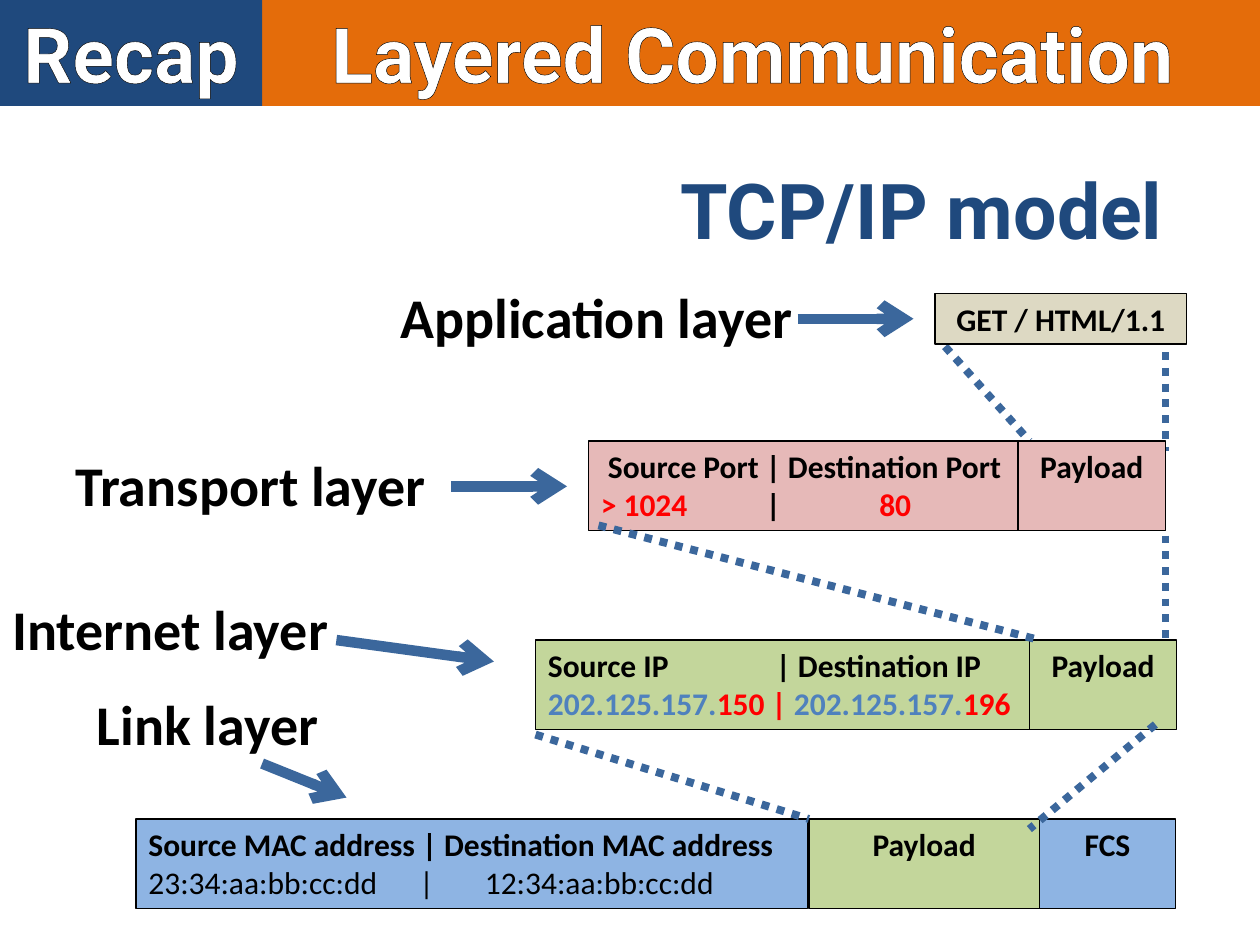
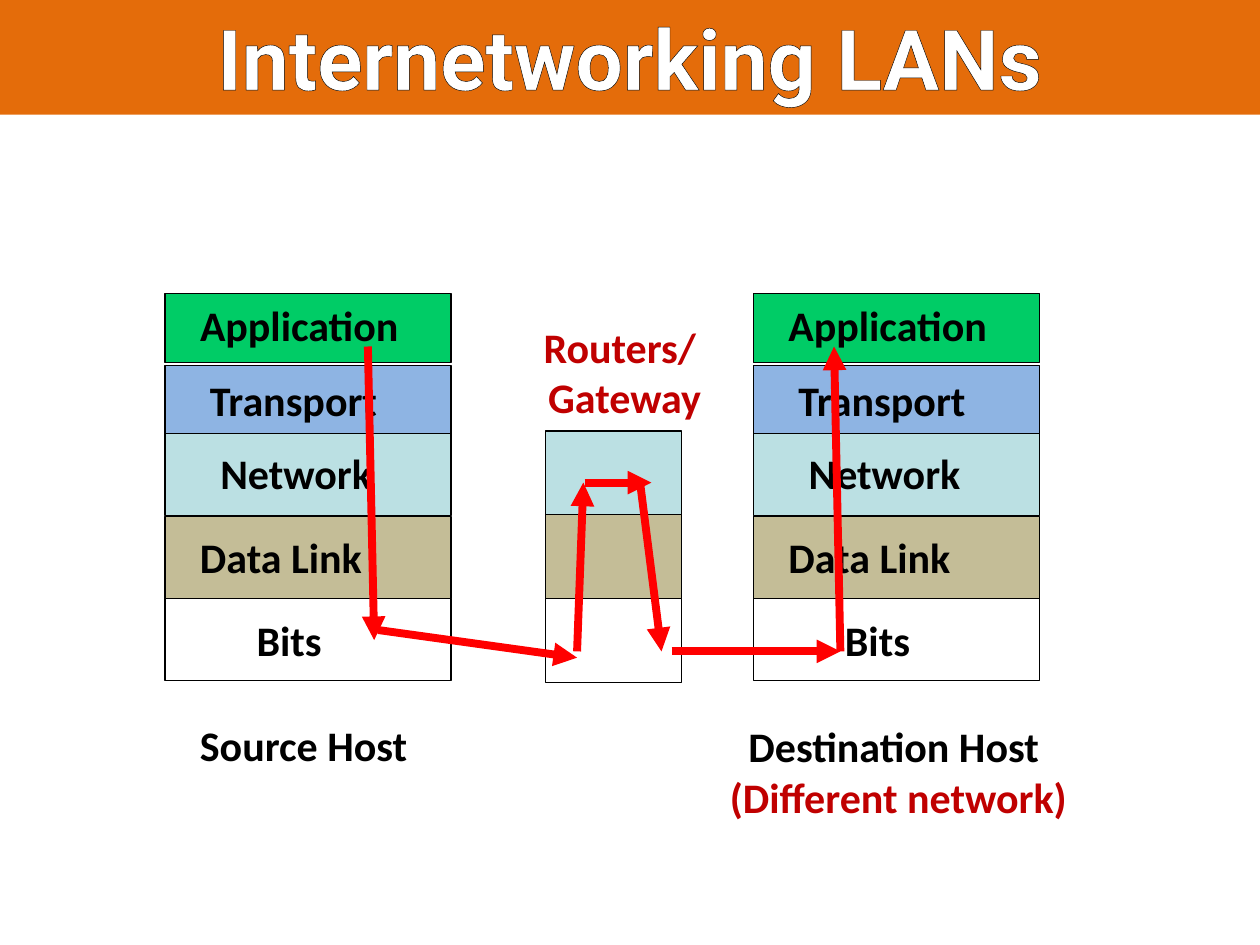
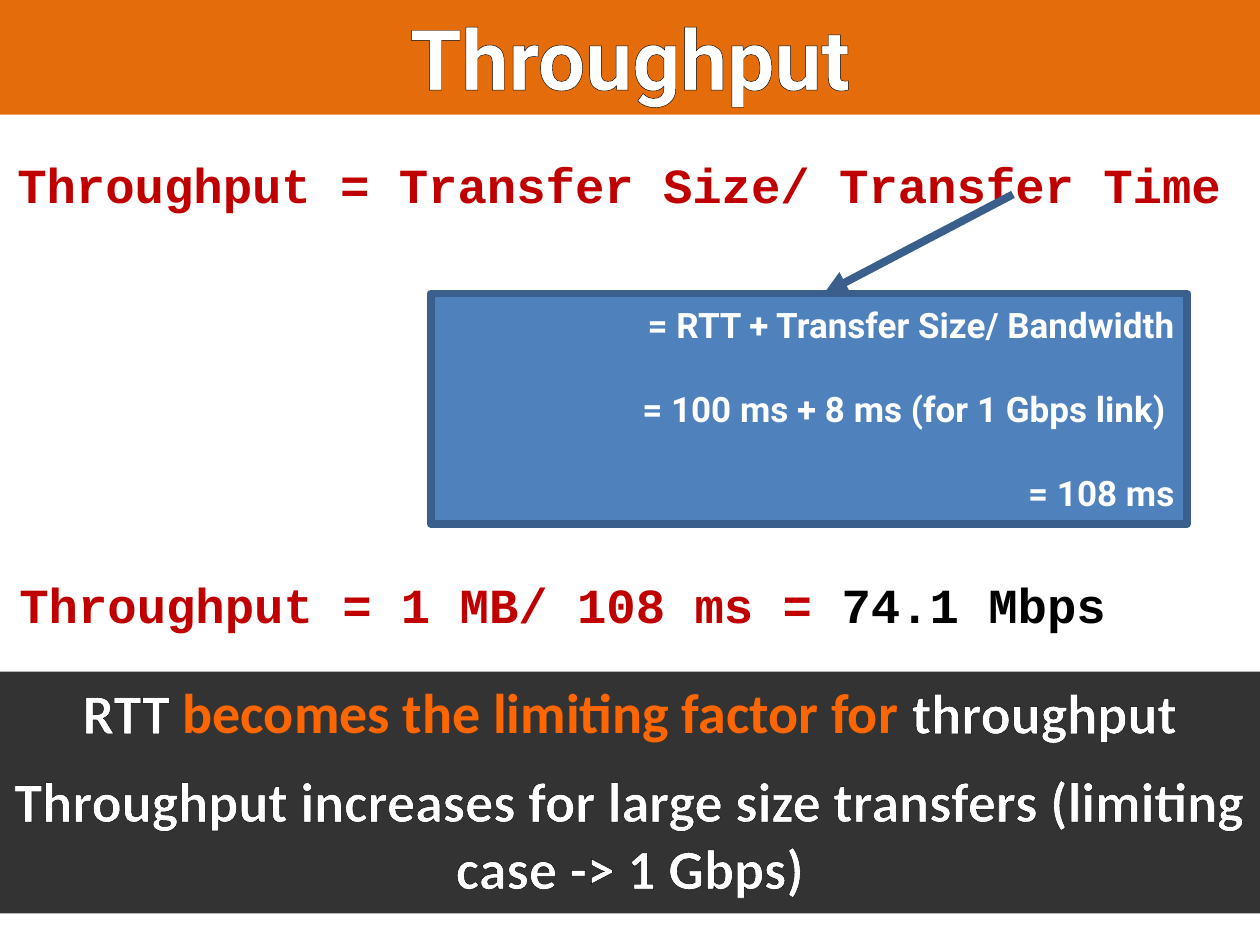
from dataclasses import dataclass
from typing import NamedTuple, Optional

from lxml import etree
from pptx import Presentation
from pptx.dml.color import RGBColor
from pptx.enum.dml import MSO_LINE
from pptx.enum.shapes import MSO_CONNECTOR, MSO_SHAPE
from pptx.enum.text import MSO_ANCHOR, PP_ALIGN
from pptx.oxml import parse_xml
from pptx.oxml.ns import nsdecls, qn
from pptx.util import Inches, Pt

COLORS = {
    "black": "000000", "white": "FFFFFF", "red": "FF0000", "crimson": "C00000",
    "orange": "E46C0A", "bright": "FF6600", "navy": "1F497D", "steel": "3B679C",
    "blue": "4F81BD", "edge": "3A5F8C", "sand": "DDD9C3", "rose": "E6B9B8",
    "leaf": "C3D69B", "sky": "8EB4E3", "aqua": "BBE0E3", "khaki": "C4BD97",
    "green": "00CC66",
}
LEFT, CENTER, RIGHT = PP_ALIGN.LEFT, PP_ALIGN.CENTER, PP_ALIGN.RIGHT


class Area(NamedTuple):
    left: float
    top: float
    width: float
    height: float


class Span(NamedTuple):
    text: str
    color: Optional[str] = None


@dataclass
class Para:
    spans: list[Span]
    bold: bool = True
    tabs: tuple[float, ...] = ()


@dataclass
class Style:
    size: int
    font: str = "Calibri"
    color: str = "black"
    align: PP_ALIGN = CENTER
    gap: int = 0
    outline: bool = False
    shadow: bool = False


class Line(NamedTuple):
    start: tuple[float, float]
    end: tuple[float, float]


class Field(NamedTuple):
    area: Area
    fill: str
    paras: list[Para]
    align: PP_ALIGN = CENTER


class Label(NamedTuple):
    text: str
    area: Area
    arrow: Line


class Layer(NamedTuple):
    name: str
    fill: str
    top: float
    height: float
    label: Area


def rgb(name: str) -> RGBColor:
    return RGBColor.from_string(COLORS[name])


def plain(text: str) -> Para:
    return Para([Span(text)])


def write(shape, paras: list[Para], style: Style, wrap: bool = True) -> None:
    frame = shape.text_frame
    frame.word_wrap = wrap
    frame.vertical_anchor = MSO_ANCHOR.TOP
    for index, item in enumerate(paras):
        para = frame.add_paragraph() if index else frame.paragraphs[0]
        para.alignment = style.align
        if index and style.gap:
            para.space_before = Pt(style.gap)
        if item.tabs:
            stops = etree.SubElement(para._p.get_or_add_pPr(), qn("a:tabLst"))
            for position in item.tabs:
                etree.SubElement(stops, qn("a:tab"), pos=str(Inches(position)), algn="l")
        para.font.size = Pt(style.size)
        para.font.name = style.font
        para.font.bold = item.bold
        para.font.color.rgb = rgb(style.color)
        for span in item.spans:
            run = para.add_run()
            run.text = span.text
            if span.color:
                run.font.color.rgb = rgb(span.color)
            add_effects(run, style)


def add_effects(run, style: Style) -> None:
    if style.outline:
        run._r.get_or_add_rPr().insert(0, parse_xml(
            f'<a:ln {nsdecls("a")} w="9525"><a:solidFill>'
            f'<a:srgbClr val="{COLORS["black"]}"/></a:solidFill></a:ln>'))
    if style.shadow:
        run._r.get_or_add_rPr().append(parse_xml(
            f'<a:effectLst {nsdecls("a")}><a:outerShdw blurRad="38100" dist="38100" '
            f'dir="2700000"><a:srgbClr val="{COLORS["black"]}">'
            '<a:alpha val="43000"/></a:srgbClr></a:outerShdw></a:effectLst>'))


def add_box(page, area: Area, fill: str, line: Optional[str] = "black",
            weight: float = 0.75, kind: MSO_SHAPE = MSO_SHAPE.RECTANGLE):
    box = page.shapes.add_shape(kind, *map(Inches, area))
    box.shadow.inherit = False
    box.fill.solid()
    box.fill.fore_color.rgb = rgb(fill)
    if line:
        box.line.color.rgb = rgb(line)
        box.line.width = Pt(weight)
    else:
        box.line.fill.background()
    return box


def add_text(page, area: Area, paras: list[Para], style: Style, wrap: bool = False) -> None:
    write(page.shapes.add_textbox(*map(Inches, area)), paras, style, wrap)


def add_line(page, line: Line, color: str, weight: float, tail: str = "") -> None:
    link = page.shapes.add_connector(
        MSO_CONNECTOR.STRAIGHT, *map(Inches, line.start + line.end))
    link.line.color.rgb = rgb(color)
    link.line.width = Pt(weight)
    etree.SubElement(link._element.spPr, qn("a:effectLst"))
    if tail:
        etree.SubElement(link.line._get_or_add_ln(), qn("a:tailEnd"), type=tail)
    else:
        link.line.dash_style = MSO_LINE.ROUND_DOT


def add_band(page, text: str, size: int = 48, height: float = 0.91,
             width: float = 10, fill: str = "orange", inset: float = 0.1) -> None:
    band = add_box(page, Area(0, 0, width, height), fill, None)
    band.text_frame.margin_left = Inches(inset)
    write(band, [plain(text)], Style(size, "Roboto", "white", outline=True))


FIELD_HEIGHT = 0.71
FIELDS = [
    Field(Area(7.42, 2.33, 2, 0.4), "sand", [plain("GET / HTML/1.1")]),
    Field(Area(1.08, 6.5, 5.33, FIELD_HEIGHT), "sky", [
        plain("Source MAC address | Destination MAC address"),
        Para([Span("23:34:aa:bb:cc:dd\t|\t12:34:aa:bb:cc:dd")], False, (2.15, 2.67)),
    ], LEFT),
    Field(Area(8.25, 6.5, 1.08, FIELD_HEIGHT), "sky", [plain("FCS")]),
    Field(Area(6.42, 6.5, 1.83, FIELD_HEIGHT), "leaf", [plain("Payload")]),
    Field(Area(4.67, 3.5, 3.42, FIELD_HEIGHT), "rose", [
        plain(" Source Port | Destination Port"),
        Para([Span("> 1024\t", "red"), Span("|\t"), Span("80", "red")], tabs=(1.31, 2.21)),
    ], LEFT),
    Field(Area(8.08, 3.5, 1.17, FIELD_HEIGHT), "rose", [plain("Payload")]),
    Field(Area(4.25, 5.08, 3.92, FIELD_HEIGHT), "leaf", [
        Para([Span("Source IP\t| Destination IP")], tabs=(1.81,)),
        Para([Span("202.125.157.", "blue"), Span("150 | ", "red"),
              Span("202.125.157.", "blue"), Span("196", "red")]),
    ], LEFT),
    Field(Area(8.17, 5.08, 1.17, FIELD_HEIGHT), "leaf", [plain("Payload")]),
]
NESTING = [
    Line((4.25, 5.83), (6.42, 6.5)), Line((9.17, 5.75), (8.17, 6.58)),
    Line((7.5, 2.75), (8.17, 3.5)), Line((9.25, 2.67), (9.25, 3.58)),
    Line((4.75, 4.17), (8.25, 5.08)), Line((9.25, 4.25), (9.25, 5.08)),
]
LABELS = [
    Label("Application layer", Area(3.08, 2.19, 3.42, 0.64), Line((6.33, 2.53), (7.25, 2.53))),
    Label("Transport layer", Area(0.5, 3.53, 3.25, 0.64), Line((3.58, 3.86), (4.5, 3.86))),
    Label("Link layer", Area(0.67, 5.42, 2.83, 0.64), Line((2.08, 6.06), (2.75, 6.33))),
    Label("Internet layer", Area(0, 4.67, 3.67, 0.64), Line((2.67, 5.08), (3.92, 5.25))),
]


def build_recap(page) -> None:
    upper, lower = NESTING[2:4], NESTING[:2] + NESTING[4:]
    for line in upper:
        add_line(page, line, "steel", 4.5)
    for field in FIELDS:
        box = add_box(page, field.area, field.fill)
        write(box, field.paras, Style(18, align=field.align))
    for line in lower:
        add_line(page, line, "steel", 4.5)
    for label in LABELS:
        add_text(page, label.area, [plain(label.text)], Style(32, align=LEFT), True)
        add_line(page, label.arrow, "steel", 6, "arrow")
    add_text(page, Area(5.04, 1.24, 4.55, 0.84), [plain("TCP/IP model")],
             Style(44, "Roboto", "navy"))
    add_band(page, "Layered Communication", 44, 0.84, inset=2.05)
    add_band(page, "Recap", 44, 0.84, 2.08, "navy")


LAYERS = [
    Layer("Bits", "white", 4.75, 0.65, Area(0.62, 4.83, 0.73, 0.5)),
    Layer("Transport", "sky", 2.9, 0.55, Area(0.25, 2.92, 1.54, 0.5)),
    Layer("Network", "aqua", 3.44, 0.65, Area(0.33, 3.5, 1.42, 0.5)),
    Layer("Data Link", "khaki", 4.1, 0.65, Area(0.17, 4.17, 1.5, 0.5)),
    Layer("Application", "green", 2.33, 0.55, Area(0.17, 2.33, 1.79, 0.5)),
]
ROUTE = [
    Line((2.92, 2.75), (2.97, 5.08)), Line((3, 5), (4.58, 5.22)),
    Line((4.58, 5.17), (4.63, 3.83)), Line((4.64, 3.83), (5.17, 3.83)),
    Line((5.08, 3.83), (5.25, 5.17)), Line((5.33, 5.17), (6.67, 5.17)),
    Line((6.67, 5.17), (6.62, 2.75)),
]


def add_host(page, left: float, caption: Area, lines: list[Para]) -> None:
    for layer in LAYERS:
        add_box(page, Area(left, layer.top, 2.27, layer.height), layer.fill)
    for layer in LAYERS:
        area = layer.label._replace(left=left + layer.label.left)
        add_text(page, area, [plain(layer.name)], Style(24))
    add_text(page, caption, lines, Style(24))


def build_internetworking(page) -> None:
    add_host(page, 5.98, Area(5.67, 5.67, 2.92, 0.91),
             [plain("Destination Host "), Para([Span("(Different network)", "crimson")])])
    for index, fill in enumerate(("aqua", "khaki", "white")):
        add_box(page, Area(4.33, 3.42 + index * 0.665, 1.08, 0.67), fill)
    add_text(page, Area(4.17, 2.5, 1.5, 0.91), [plain("Routers/"), plain(" Gateway")],
             Style(24, color="crimson"))
    add_host(page, 1.31, Area(1.48, 5.66, 1.86, 0.5), [plain("Source Host")])
    for line in ROUTE:
        add_line(page, line, "red", 4.5, "triangle")
    add_band(page, "Internetworking LANs")


def build_throughput(page) -> None:
    formula = Style(28, "Courier New", "crimson", shadow=True)
    add_band(page, "Throughput")
    add_text(page, Area(0, 1.18, 9.83, 0.57),
             [plain("Throughput = Transfer Size/ Transfer Time")], formula)

    summary = add_box(page, Area(0, 5.33, 10, 1.92), "black", None)
    tint = summary._element.spPr.find(qn("a:solidFill"))[0]
    etree.SubElement(tint, qn("a:alpha"), val="80000")
    write(summary, [
        Para([Span("RTT"), Span(" becomes the limiting factor for ", "bright"),
              Span("throughput")]),
        plain("Throughput increases for large size transfers (limiting case -> 1 Gbps)"),
    ], Style(32, color="white", gap=12, outline=True))

    add_text(page, Area(0.02, 4.51, 8.89, 0.57),
             [Para([Span("Throughput = 1 MB/ 108 ms = "), Span("74.1 Mbps", "black")])],
             formula)

    callout = add_box(page, Area(3.42, 2.33, 6, 1.83), "blue", "edge", 4.5,
                      MSO_SHAPE.LINE_CALLOUT_1)
    for index, value in enumerate((0, 0.52, -0.43, 0.77)):
        callout.adjustments[index] = value
    etree.SubElement(callout.line._get_or_add_ln(), qn("a:headEnd"), type="triangle")
    write(callout, [
        plain("= RTT + Transfer Size/ Bandwidth"),
        plain("= 100 ms + 8 ms (for 1 Gbps link) "),
        plain("= 108 ms"),
    ], Style(20, "Roboto", "white", RIGHT, 24))
    callout.text_frame.vertical_anchor = MSO_ANCHOR.MIDDLE


def main() -> None:
    deck = Presentation()
    deck.slide_width, deck.slide_height = Inches(10), Inches(7.5)
    for build in (build_recap, build_internetworking, build_throughput):
        build(deck.slides.add_slide(deck.slide_layouts[6]))
    deck.save("out.pptx")


main()
